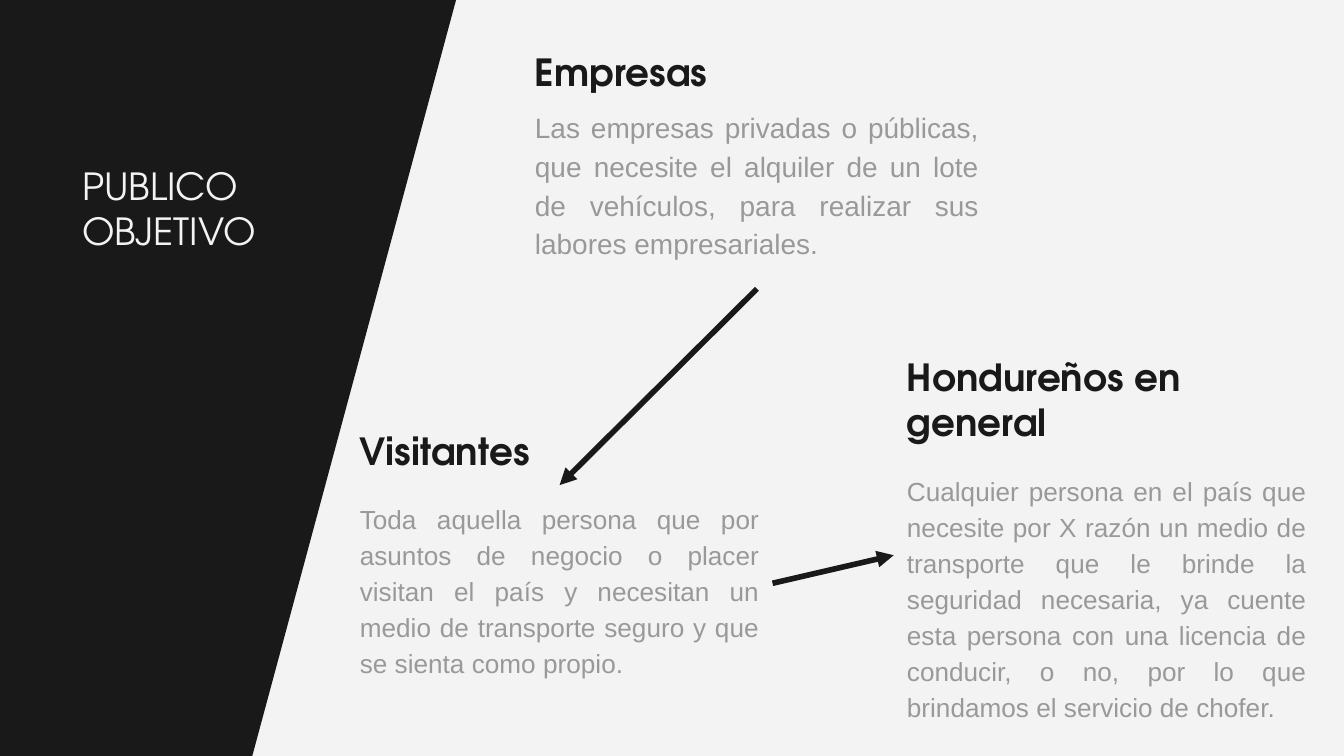
import pptx
import pptx.util
import pptx.dml.color
import pptx.enum.shapes
import pptx.enum.text
import pptx.oxml.ns
import lxml.etree

Cm = pptx.util.Cm
Pt = pptx.util.Pt
Align = pptx.enum.text.PP_ALIGN
Anchor = pptx.enum.text.MSO_ANCHOR

DARK = "191919"
LIGHT = "F3F3F3"
GREY = "999999"
HEADING_FONT = "TeX Gyre Adventor"
BODY_FONT = "Arial"
HEADING_HEIGHT = 1.12
BODY_HEIGHT = 3.71
BOTTOM, TOP, LEFT, RIGHT = 2, 0, 1, 3


def colour(value):
    return pptx.dml.color.RGBColor.from_string(value)


def add_xml(parent, tag, **attributes):
    return lxml.etree.SubElement(parent, pptx.oxml.ns.qn(tag), **attributes)


def place_text(shape, box, text, size, font, ink, bold=False, align=Align.LEFT,
               anchor=Anchor.TOP, line_spacing=1.0, space_before=0):
    shape.left, shape.top, shape.width, shape.height = [Cm(length) for length in box]
    frame = shape.text_frame
    frame.word_wrap = True
    frame.auto_size = pptx.enum.text.MSO_AUTO_SIZE.NONE
    frame.vertical_anchor = anchor
    frame.margin_left = frame.margin_right = Cm(0.25)
    frame.margin_top = frame.margin_bottom = Cm(0.25)
    para = frame.paragraphs[0]
    para.alignment = align
    para.line_spacing = line_spacing
    para.space_before = Pt(space_before)
    properties = para._p.get_or_add_pPr()
    properties.set("marL", "0")
    properties.set("indent", "0")
    add_xml(properties, "a:buNone")
    span = para.add_run()
    span.text = text
    span.font.size = Pt(size)
    span.font.name = font
    span.font.bold = bold
    span.font.color.rgb = colour(ink)


def add_side_panel(page, box, bottom_width):
    left, top, width, height = box
    builder = page.shapes.build_freeform(Cm(left), Cm(top))
    builder.add_line_segments([
        (Cm(left + width), Cm(top)),
        (Cm(left + bottom_width), Cm(top + height)),
        (Cm(left), Cm(top + height)),
    ])
    panel = builder.convert_to_shape()
    panel.shadow.inherit = False
    panel.fill.solid()
    panel.fill.fore_color.rgb = colour(DARK)
    panel.line.fill.background()
    page.shapes.title.element.addprevious(panel.element)


def fill_audience(heading, body, box, heading_text, body_text, body_top,
                  body_size=14, heading_spacing=1.0, heading_before=0):
    left, top, width = box
    place_text(heading, (left, top, width, HEADING_HEIGHT), heading_text, 20,
               HEADING_FONT, DARK, bold=True, anchor=Anchor.BOTTOM,
               line_spacing=heading_spacing, space_before=heading_before)
    place_text(body, (left, top + body_top, width, BODY_HEIGHT), body_text, body_size,
               BODY_FONT, GREY, align=Align.JUSTIFY, line_spacing=1.15, space_before=6)


def add_arrow(page, start, start_side, end, end_side):
    arrow = page.shapes.add_connector(
        pptx.enum.shapes.MSO_CONNECTOR.STRAIGHT, 0, 0, 0, 0)
    arrow.begin_connect(start, start_side)
    arrow.end_connect(end, end_side)
    arrow.line.color.rgb = colour(DARK)
    arrow.line.width = Pt(3)
    add_xml(arrow.line._get_or_add_ln(), "a:tailEnd", type="triangle")
    add_xml(arrow.element.spPr, "a:effectLst")


def build_audience_slide(deck):
    page = deck.slides.add_slide(deck.slide_layouts.get_by_name("Comparison"))
    page.background.fill.solid()
    page.background.fill.fore_color.rgb = colour(LIGHT)
    holders = {holder.placeholder_format.idx: holder for holder in page.placeholders}

    add_side_panel(page, (0, 0, 8.62, 14.29), 4.77)
    place_text(page.shapes.title, (1.3, 2.84, 4.83, 2.62), "PUBLICO OBJETIVO", 20,
               HEADING_FONT, LIGHT)

    companies_heading = page.shapes.add_textbox(0, 0, 0, 0)
    companies = page.shapes.add_textbox(0, 0, 0, 0)
    visitors = holders[2]
    locals_body = holders[4]
    fill_audience(
        companies_heading, companies, (9.86, 0.91, 8.89), "Empresas",
        "Las empresas privadas o públicas, que necesite el alquiler de un lote "
        "de vehículos, para realizar sus labores empresariales.",
        0.84, body_size=15, heading_spacing=0.9, heading_before=6)
    fill_audience(
        holders[1], visitors, (6.55, 8.08, 8.05), "Visitantes",
        "Toda aquella persona que por asuntos de negocio o placer visitan el país "
        "y necesitan un medio de transporte seguro y que se sienta como propio.",
        1.09)
    fill_audience(
        holders[3], locals_body, (16.89, 7.52, 8.05), "Hondureños en general",
        "Cualquier persona en el país que necesite por X razón un medio de transporte "
        "que le brinde la seguridad necesaria, ya cuente esta persona con una licencia "
        "de conducir, o no, por lo que brindamos el servicio de chofer.",
        1.12)

    add_arrow(page, companies, BOTTOM, visitors, TOP)
    add_arrow(page, visitors, RIGHT, locals_body, LEFT)


def main():
    deck = pptx.Presentation()
    deck.slide_width = Cm(25.4)
    deck.slide_height = Cm(14.29)
    build_audience_slide(deck)
    deck.save("out.pptx")


if __name__ == "__main__":
    main()
